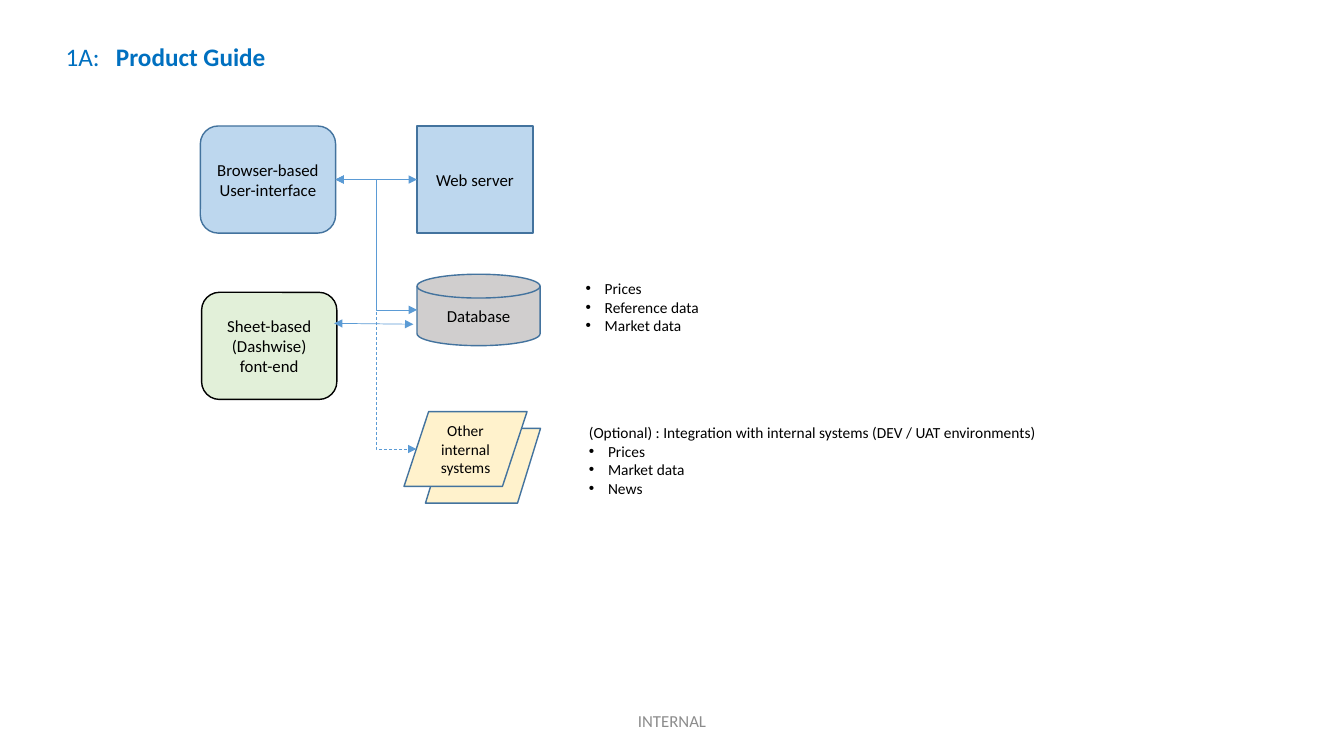
import dataclasses
import pptx
import pptx.dml.color
import pptx.enum.dml
import pptx.enum.shapes
import pptx.enum.text
import pptx.oxml.ns
import pptx.oxml.xmlchemy
import pptx.util
import lxml.etree

COLUMNS, ROWS = 160, 90
SHAPES = pptx.enum.shapes.MSO_SHAPE
CONNECTORS = pptx.enum.shapes.MSO_CONNECTOR
ALIGN = pptx.enum.text.PP_ALIGN
ANCHOR = pptx.enum.text.MSO_ANCHOR


@dataclasses.dataclass(frozen=True)
class Theme:
    font: str = "Calibri"
    title_size: int = 18
    label_size: int = 12
    detail_size: int = 11
    title: str = "0070C0"
    text: str = "000000"
    footer: str = "8C8C8C"
    interface: str = "BDD7EE"
    spreadsheet: str = "E2F0D9"
    storage: str = "D0CECE"
    systems: str = "FFF2CC"
    outline: str = "43739E"
    connector: str = "5B9BD5"


THEME = Theme()
presentation = pptx.Presentation()
presentation.slide_width = pptx.util.Inches(13.33)
presentation.slide_height = pptx.util.Inches(7.5)
COLUMN = presentation.slide_width / COLUMNS
ROW = presentation.slide_height / ROWS


@dataclasses.dataclass(frozen=True)
class Box:
    left: float
    top: float
    width: float
    height: float

    def inside(self, left, top, width, height):
        return Box(self.left + left, self.top + top, width, height)

    def point(self, across, down):
        return self.left + across * self.width, self.top + down * self.height

    def lengths(self):
        return (round(self.left * COLUMN), round(self.top * ROW),
                round(self.width * COLUMN), round(self.height * ROW))


def apply(target, formats):
    for name, value in formats.items():
        setattr(target, name, value)


def color(code):
    return pptx.dml.color.RGBColor.from_string(code)


def add_xml(parent, tag, **attributes):
    return lxml.etree.SubElement(parent, pptx.oxml.ns.qn(tag), attributes)


def place(shape, box):
    apply(shape, dict(zip(("left", "top", "width", "height"), box.lengths())))


def write_run(paragraph, text, size, code, bold=False):
    run = paragraph.add_run()
    run.text = text
    apply(run.font, {"name": THEME.font, "size": pptx.util.Pt(size), "bold": bold})
    run.font.color.rgb = color(code)


def write_lines(frame, lines, size, code, align, anchor):
    apply(frame, {"word_wrap": True, "vertical_anchor": anchor,
                  "auto_size": pptx.enum.text.MSO_AUTO_SIZE.NONE})
    for index, line in enumerate(lines):
        paragraph = frame.add_paragraph() if index else frame.paragraphs[0]
        apply(paragraph, {"alignment": align, "space_before": pptx.util.Pt(0)})
        write_run(paragraph, line, size, code)
    return frame.paragraphs


def add_title(placeholder, box, number, name):
    place(placeholder, box)
    paragraph = write_lines(placeholder.text_frame, [number + "\t"], THEME.title_size,
                            THEME.title, ALIGN.LEFT, ANCHOR.TOP)[0]
    write_run(paragraph, name, THEME.title_size, THEME.title, True)
    tabs = add_xml(paragraph._p.get_or_add_pPr(), "a:tabLst")
    add_xml(tabs, "a:tab", pos=str(pptx.util.Inches(0.5)), algn="l")


def add_list(placeholder, box, items, heading=None):
    place(placeholder, box)
    lines = ([heading] if heading else []) + items
    paragraphs = write_lines(placeholder.text_frame, lines, THEME.detail_size,
                             THEME.text, ALIGN.LEFT, ANCHOR.TOP)
    indent = pptx.util.Inches(0.19)
    for paragraph, line in zip(paragraphs, lines):
        bulleted = line != heading
        properties = paragraph._p.get_or_add_pPr()
        properties.set("marL", str(indent if bulleted else 0))
        properties.set("indent", str(-indent if bulleted else 0))
        if bulleted:
            add_xml(properties, "a:buFont", typeface="Arial")
            add_xml(properties, "a:buChar", char="•")
        else:
            add_xml(properties, "a:buNone")


def add_node(slide, kind, box, fill, lines=(), size=THEME.label_size, outline=THEME.outline):
    shape = slide.shapes.add_shape(kind, *box.lengths())
    shape.shadow.inherit = False
    shape.fill.solid()
    shape.fill.fore_color.rgb = color(fill)
    shape.line.color.rgb = color(outline)
    shape.line.width = pptx.util.Pt(1)
    write_lines(shape.text_frame, lines, size, THEME.text, ALIGN.CENTER, ANCHOR.MIDDLE)
    return shape


def add_link(slide, kind, start, end, dashed=False):
    ends = [round(value * unit) for value, unit in zip(start + end, (COLUMN, ROW) * 2)]
    connector = slide.shapes.add_connector(kind, *ends)
    connector.line.color.rgb = color(THEME.connector)
    connector.line.width = pptx.util.Pt(0.5)
    if dashed:
        connector.line.dash_style = pptx.enum.dml.MSO_LINE.DASH
    line = connector.line._get_or_add_ln()
    for tag in ("a:headEnd", "a:tailEnd"):
        add_xml(line, tag, type="triangle")
    add_xml(connector._element.spPr, "a:effectLst")
    return connector


def add_architecture(slide, box):
    browser = box.inside(0, 0, 16.1, 12.75)
    spreadsheet = box.inside(0.15, 19.8, 16.1, 12.75)
    server = box.inside(25.8, 0, 13.8, 12.75)
    database = box.inside(25.8, 17.65, 14.65, 8.5)
    systems = box.inside(24.25, 34, 14.65, 8.9)
    more_systems = box.inside(26.8, 36, 13.7, 8.9)

    server_shape = add_node(slide, SHAPES.RECTANGLE, server, THEME.interface, ["Web server"])
    browser_shape = add_node(slide, SHAPES.ROUNDED_RECTANGLE, browser, THEME.interface,
                             ["Browser-based", "User-interface"])
    add_node(slide, SHAPES.FLOWCHART_MAGNETIC_DISK, database, THEME.storage, ["Database"])
    add_node(slide, SHAPES.FLOWCHART_DATA, more_systems, THEME.systems)
    add_node(slide, SHAPES.FLOWCHART_DATA, systems, THEME.systems,
             ["Other internal systems"], THEME.detail_size)
    add_node(slide, SHAPES.ROUNDED_RECTANGLE, spreadsheet, THEME.spreadsheet,
             ["Sheet-based (Dashwise) font-end"], outline=THEME.text)

    source = browser.point(1, 0.5)
    link = add_link(slide, CONNECTORS.STRAIGHT, source, server.point(0, 0.5))
    link.begin_connect(browser_shape, 3)
    link.end_connect(server_shape, 1)
    add_link(slide, CONNECTORS.ELBOW, source, database.point(0, 0.5))
    add_link(slide, CONNECTORS.ELBOW, source, systems.point(0.1, 0.5), dashed=True)
    add_link(slide, CONNECTORS.STRAIGHT, spreadsheet.point(0.98, 0.29),
             database.point(-0.03, 0.7))


def add_footer(slide, box, text):
    footer = slide.shapes.add_textbox(*box.lengths())
    write_lines(footer.text_frame, [text], THEME.label_size, THEME.footer,
                ALIGN.CENTER, ANCHOR.MIDDLE)


def build_guide_slide(slide, box):
    title, data, integration = slide.placeholders
    add_title(title, box.inside(6.6, 4.3, 30, 4.8), "1A:", "Product Guide")
    add_architecture(slide, box.inside(23.85, 15, 40.5, 45))
    add_list(data, box.inside(68.5, 32.65, 20, 10),
             ["Prices", "Reference data", "Market data"])
    add_list(integration, box.inside(68.9, 49.8, 58, 12.3),
             ["Prices", "Market data", "News"],
             "(Optional) : Integration with internal systems (DEV / UAT environments)")
    add_footer(slide, box.inside(53, 83.4, 54, 4.8), "INTERNAL")


guide = presentation.slides.add_slide(presentation.slide_layouts.get_by_name("Two Content"))
build_guide_slide(guide, Box(0, 0, COLUMNS, ROWS))
presentation.save("out.pptx")
